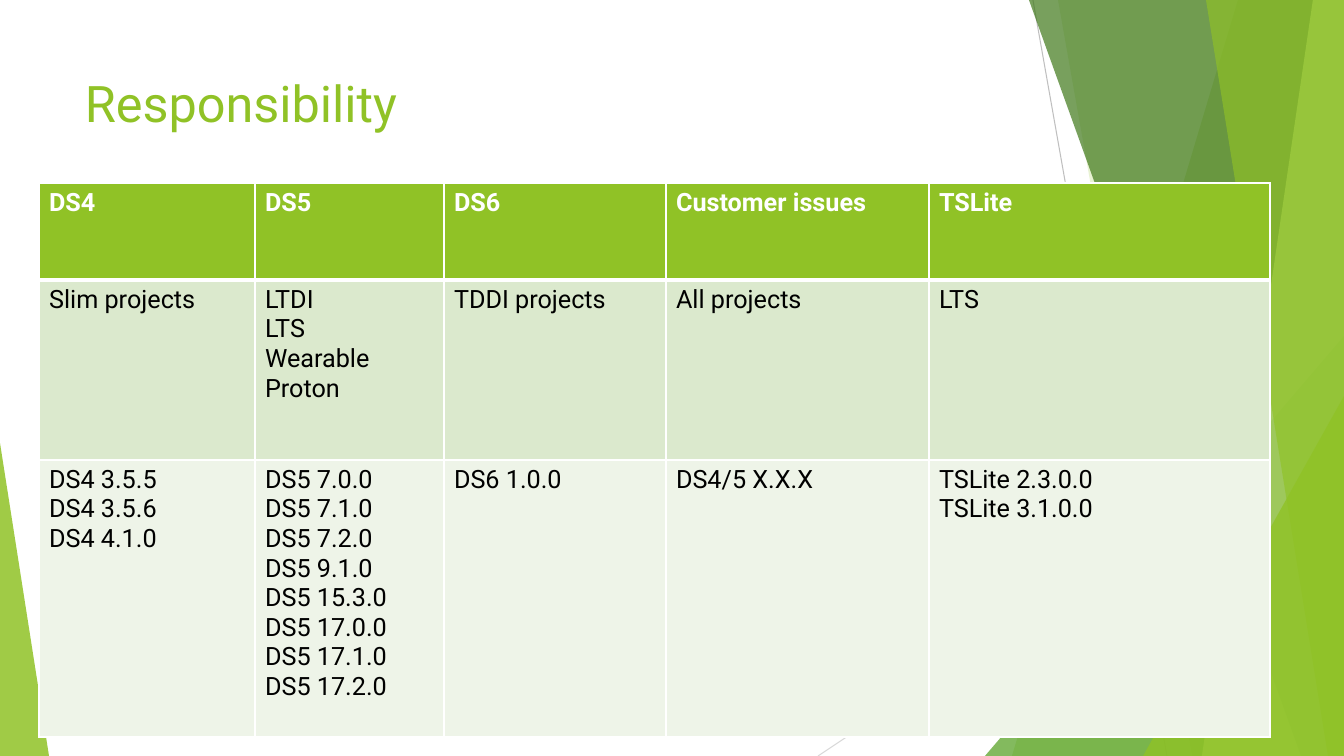
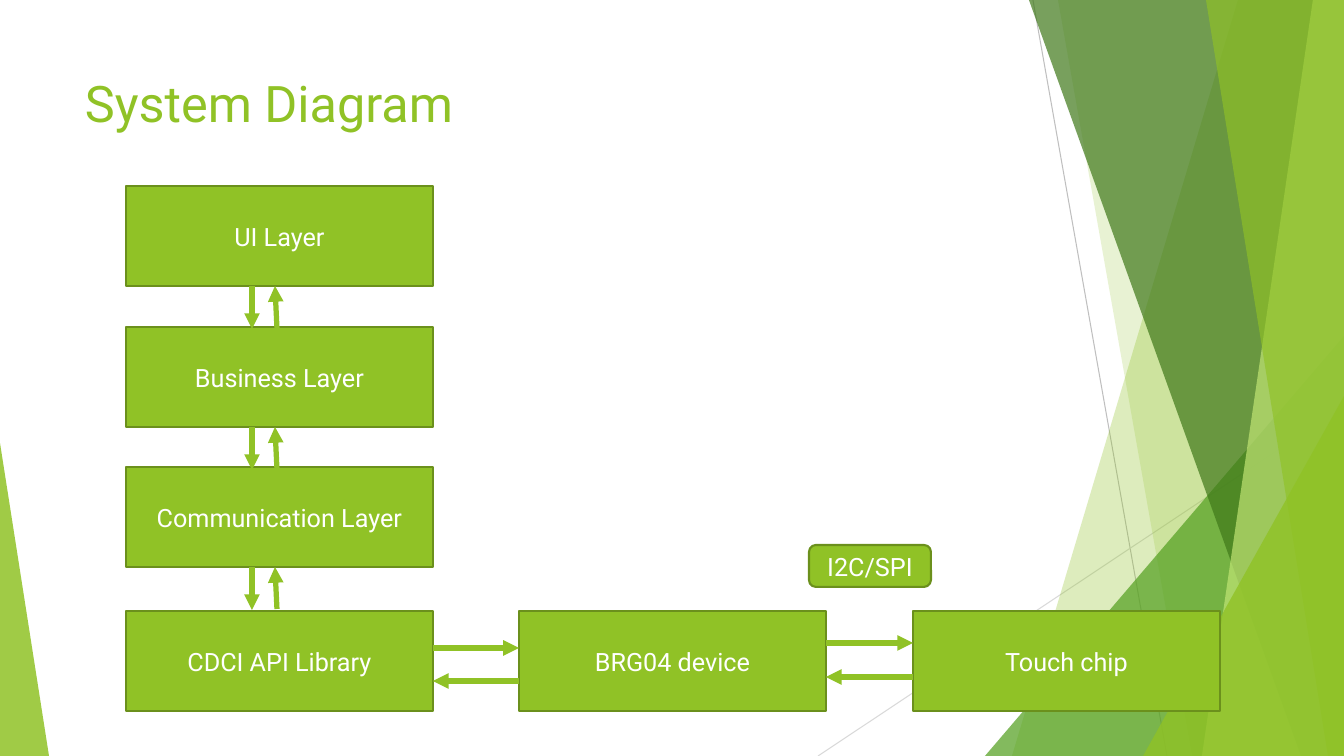
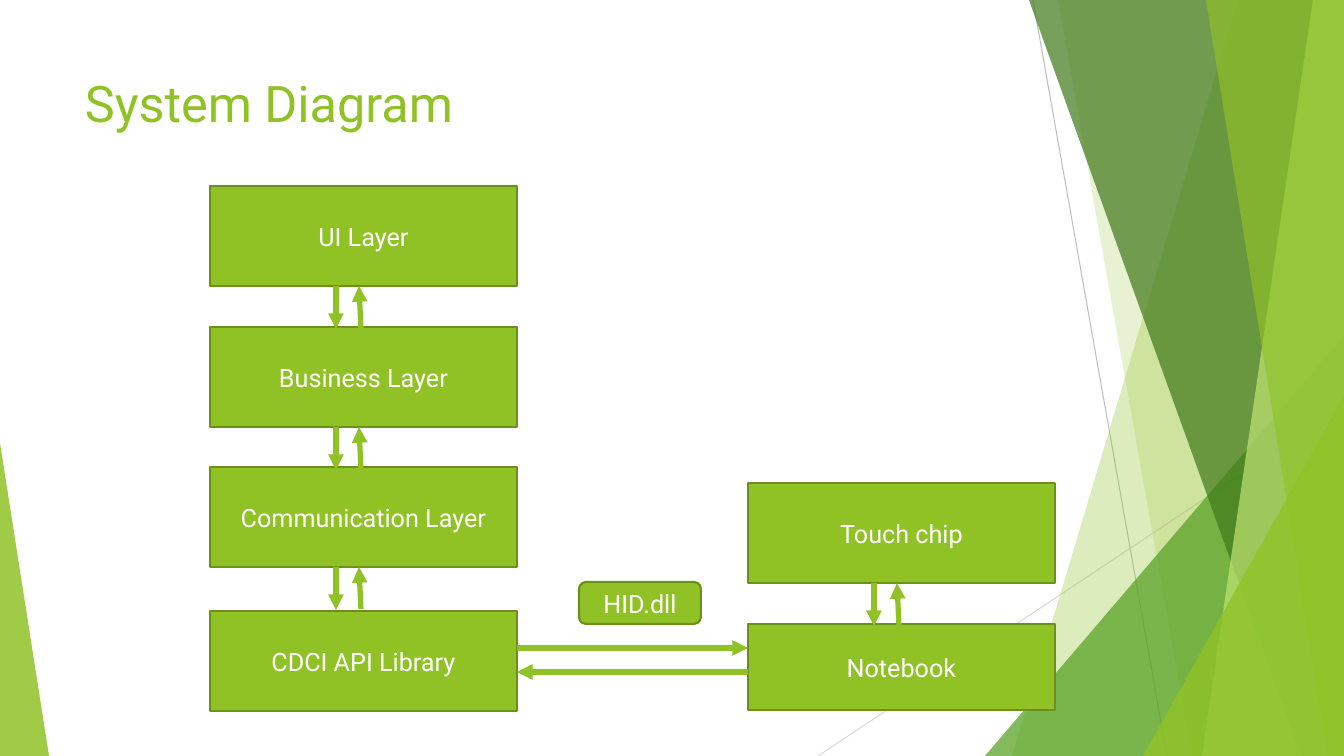
from lxml import etree
from pptx import Presentation
from pptx.dml.color import RGBColor
from pptx.enum.shapes import MSO_CONNECTOR, MSO_SHAPE
from pptx.enum.text import MSO_ANCHOR, PP_ALIGN
from pptx.oxml.ns import qn
from pptx.util import Emu, Pt

PX = 914400 / 100.8
W, H = 1344, 756
FONT = "Roboto"
GREEN, DARK, WHITE, BLACK = "90C226", "6B901C", "FFFFFF", "000000"
RECT, ROUND = MSO_SHAPE.RECTANGLE, MSO_SHAPE.ROUNDED_RECTANGLE
TRIANGLE, STRAIGHT = MSO_SHAPE.ISOSCELES_TRIANGLE, MSO_CONNECTOR.STRAIGHT
MIDDLE, LEFT, CENTER = MSO_ANCHOR.MIDDLE, PP_ALIGN.LEFT, PP_ALIGN.CENTER
rgb = RGBColor.from_string


def write(tf, text, color, size=18, bold=False, align=LEFT):
    fmt = {"name": FONT, "size": Pt(size), "bold": bold}
    tf.word_wrap = True
    for i, row in enumerate(text.split("\n")):
        p = tf.paragraphs[0] if i == 0 else tf.add_paragraph()
        p.alignment = align
        r = p.add_run()
        r.text = row
        for key, value in fmt.items():
            setattr(r.font, key, value)
        r.font.color.rgb = rgb(color)


def add_line(s, ends, color=GREEN, width=3.75, arrow=True):
    c = s.shapes.add_connector(STRAIGHT, *[Emu(v * PX) for v in ends])
    c.line.color.rgb = rgb(color)
    c.line.width = Pt(width)
    sp_pr = c.element.spPr
    if arrow:
        etree.SubElement(sp_pr.find(qn("a:ln")), qn("a:tailEnd"), type="triangle")
    etree.SubElement(sp_pr, qn("a:effectLst"))


prs = Presentation()
prs.slide_width, prs.slide_height = Emu(W * PX), Emu(H * PX)

# Backdrop: bands are (top x, bottom x) up to the right edge,
# triangles are (left, top, width, height, apex); then colour and opacity
backdrop = [
    ((1238, 1012), GREEN, 30),
    ((1058, 1192), GREEN, 20),
    ((985, 336, 359, 420, 1), "54A021", 72),
    ((1029, 1301), "3F7819", 70),
    ((1313, 1202), "C0E474", 70),
    ((1206, 1328), GREEN, 65),
    ((1143, 396, 201, 360, 1), GREEN, 80),
    ((0, 443, 49, 313, 0), GREEN, 85),
]

# Shared look of all slides
slides = []
for title in ("Responsibility", "System Diagram", "System Diagram"):
    s = prs.slides.add_slide(prs.slide_layouts[6])
    slides.append(s)
    add_line(s, (1033, 0, 1167, H), "BFBFBF", 0.75, False)
    add_line(s, (W, 406, 818, H), "D9D9D9", 0.75, False)
    for geometry, color, opacity in backdrop:
        if len(geometry) == 2:
            top, bottom = geometry
            fb = s.shapes.build_freeform(top, 0, PX)
            fb.add_line_segments([(W, 0), (W, H), (bottom, H)])
            sp = fb.convert_to_shape()
        else:
            *box, apex = geometry
            sp = s.shapes.add_shape(TRIANGLE, *[Emu(v * PX) for v in box])
            sp.adjustments[0] = apex
        sp.shadow.inherit = False
        sp.fill.solid()
        sp.fill.fore_color.rgb = rgb(color)
        clr = sp.element.spPr.find(qn("a:solidFill"))[0]
        etree.SubElement(clr, qn("a:alpha"), val=str(opacity * 1000))
        sp.line.fill.background()
    tb = s.shapes.add_textbox(*[Emu(v * PX) for v in (75, 67, 948, 145)])
    write(tb.text_frame, title, GREEN, 36)

# Responsibility table
cols = [216, 189, 222, 263, 341]
rows = [97, 180, 277]
fills = [GREEN, "DBE9CD", "EEF4E8"]
cells = [
    ["DS4", "DS5", "DS6", "Customer issues", "TSLite"],
    ["Slim projects", "LTDI\nLTS\nWearable\nProton", "TDDI projects",
     "All projects", "LTS"],
    ["DS4 3.5.5\nDS4 3.5.6\nDS4 4.1.0",
     "DS5 7.0.0\nDS5 7.1.0\nDS5 7.2.0\nDS5 9.1.0\n"
     "DS5 15.3.0\nDS5 17.0.0\nDS5 17.1.0\nDS5 17.2.0",
     "DS6 1.0.0", "DS4/5 X.X.X", "TSLite 2.3.0.0\nTSLite 3.1.0.0"],
]
box = (39, 183, sum(cols), sum(rows))
table = slides[0].shapes.add_table(
    len(rows), len(cols), *[Emu(v * PX) for v in box]).table
table.horz_banding = False
for col, width in zip(table.columns, cols):
    col.width = Emu(width * PX)
for y, height in enumerate(rows):
    table.rows[y].height = Emu(height * PX)
    for x, text in enumerate(cells[y]):
        cell = table.cell(y, x)
        cell.fill.solid()
        cell.fill.fore_color.rgb = rgb(fills[y])
        write(cell.text_frame, text, BLACK if y else WHITE, bold=y == 0)
        tc_pr = cell._tc.get_or_add_tcPr()
        for i, side in enumerate(("lnL", "lnR", "lnT", "lnB")):
            heavy = (y, side) in ((0, "lnB"), (1, "lnT"))
            ln = etree.Element(qn("a:" + side), w=str(Pt(3 if heavy else 1)))
            fill = etree.SubElement(ln, qn("a:solidFill"))
            etree.SubElement(fill, qn("a:srgbClr"), val=WHITE)
            tc_pr.insert(i, ln)

# System diagrams: stack of layers, other boxes, label, horizontal arrows
BOX_W, BOX_H = 307, 100
layers = [("UI Layer", 186), ("Business Layer", 327),
          ("Communication Layer", 467), ("CDCI API Library", 611)]
diagrams = [
    (slides[1], 126,
     [("BRG04 device", 519, 611, BOX_H), ("Touch chip", 913, 611, BOX_H)],
     ("I2C/SPI", 809, 545),
     [(433, 519, 648), (519, 433, 681), (826, 913, 643), (913, 826, 677)], []),
    (slides[2], 210,
     [("Notebook", 748, 624, 86), ("Touch chip", 748, 483, BOX_H)],
     ("HID.dll", 579, 582),
     [(517, 748, 648), (748, 517, 672)], [(748, 483)]),
]
for s, left, others, (label, label_x, label_y), across, extra in diagrams:
    boxes = [(RECT, text, left, y, BOX_W, BOX_H) for text, y in layers]
    boxes += [(RECT, text, x, y, BOX_W, h) for text, x, y, h in others]
    boxes.append((ROUND, label, label_x, label_y, 122, 42))
    for kind, text, *box in boxes:
        sp = s.shapes.add_shape(kind, *[Emu(v * PX) for v in box])
        sp.shadow.inherit = False
        sp.fill.solid()
        sp.fill.fore_color.rgb = rgb(GREEN)
        sp.line.color.rgb = rgb(DARK)
        sp.line.width = Pt(1.5)
        sp.text_frame.vertical_anchor = MIDDLE
        write(sp.text_frame, text, WHITE, align=CENTER)

    # Pairs of arrows below a box, down and up
    for x, y in [(left, y) for _, y in layers[:-1]] + extra:
        bottom = y + BOX_H
        add_line(s, (x + 126, bottom, x + 126, bottom + 43))
        add_line(s, (x + 151, bottom + 42, x + 149, bottom))
    for start, end, y in across:
        add_line(s, (start, y, end, y))

prs.save("out.pptx")
